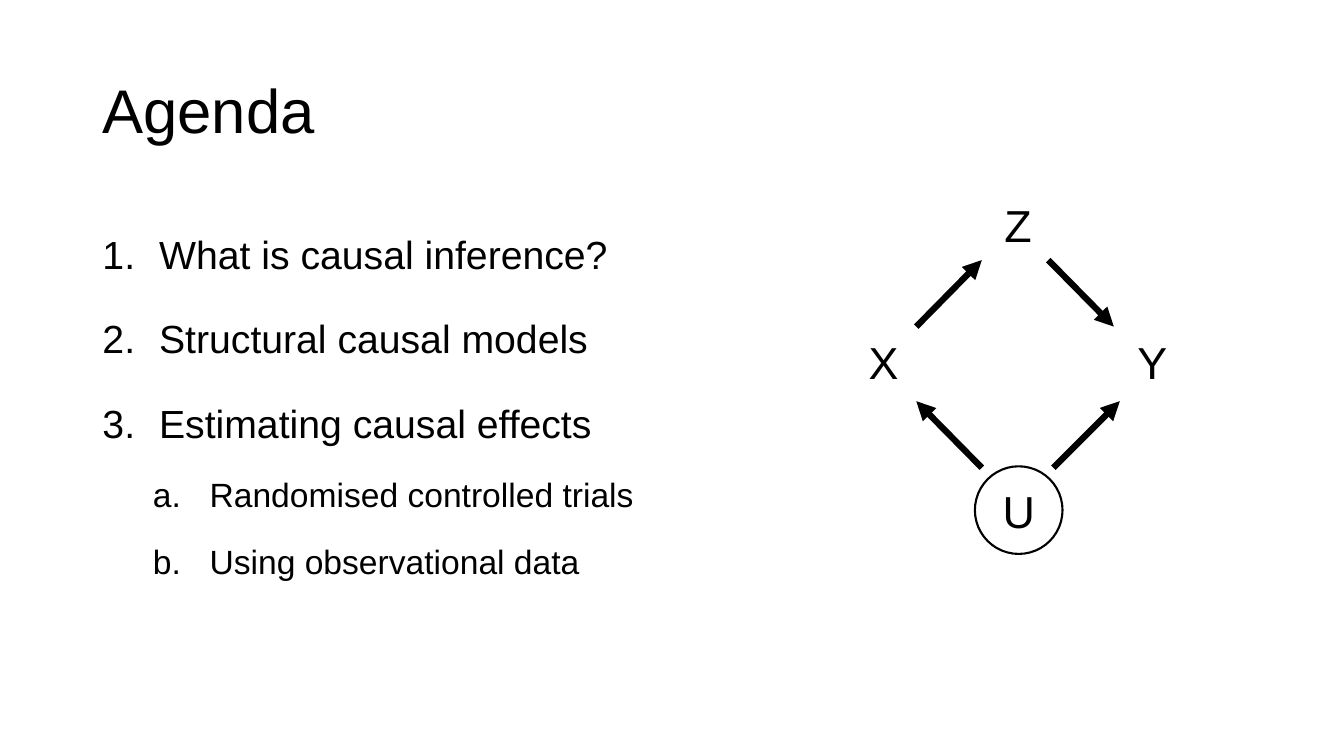
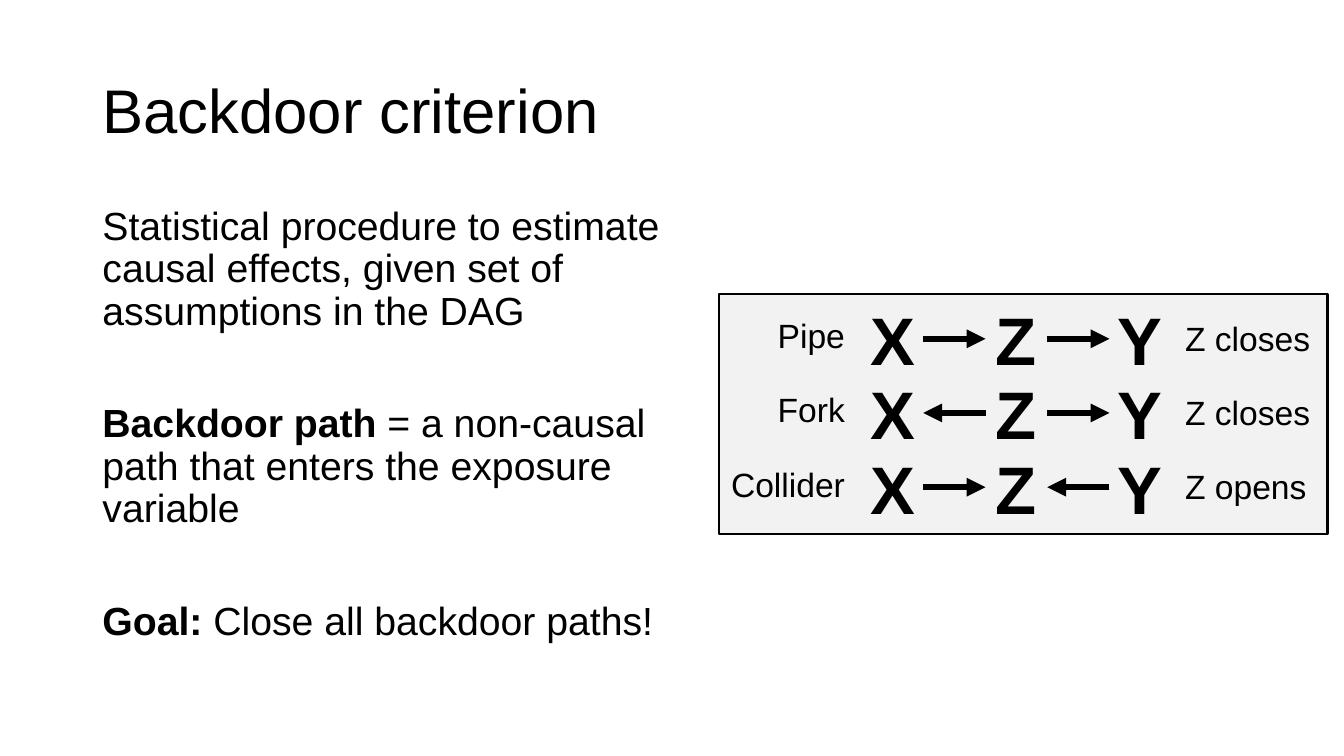
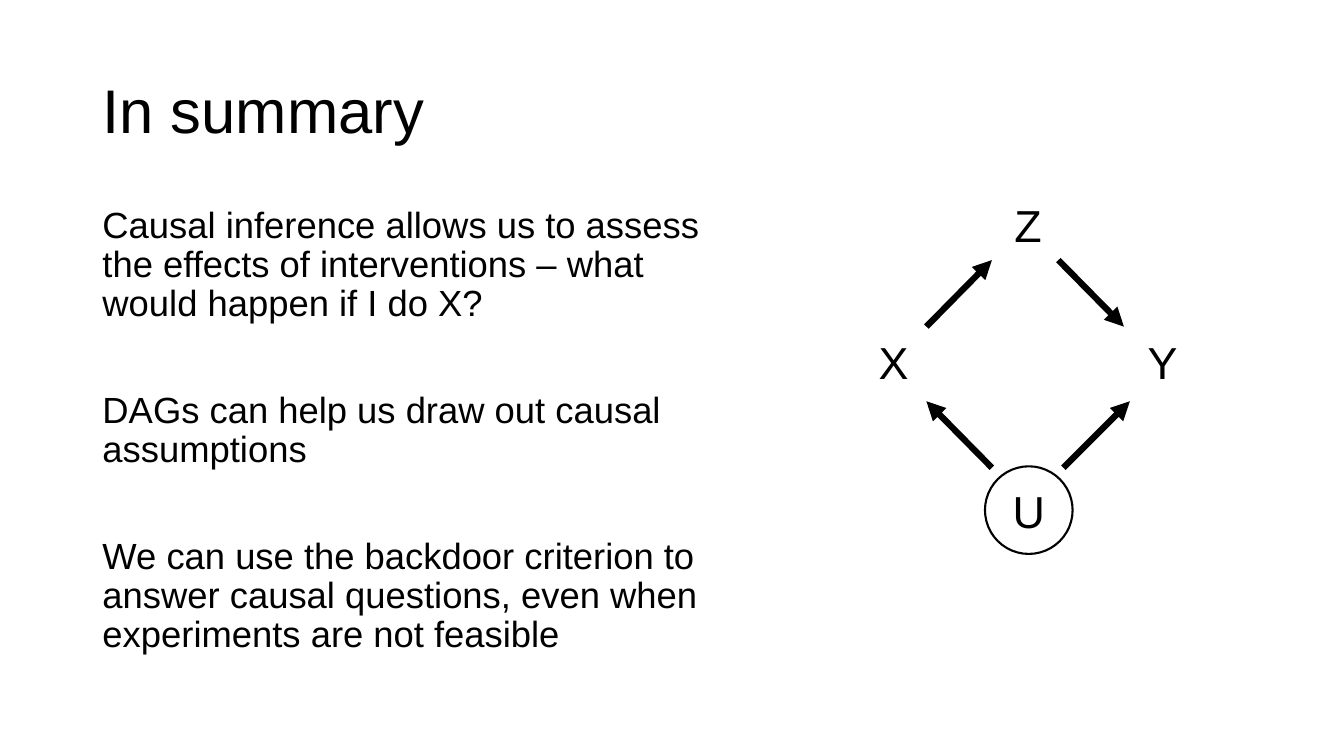
from dataclasses import dataclass

from lxml.etree import SubElement
from pptx import Presentation
from pptx.dml.color import RGBColor
from pptx.enum.shapes import MSO_CONNECTOR, MSO_SHAPE
from pptx.enum.text import MSO_ANCHOR, MSO_AUTO_SIZE, PP_ALIGN
from pptx.oxml.ns import qn
from pptx.util import Pt


# Theme and records
@dataclass(frozen=True)
class Theme:
    font: str = "Arial"
    ink: RGBColor = RGBColor(0, 0, 0)
    panel: RGBColor = RGBColor(0xF2, 0xF2, 0xF2)
    title_size: float = 44
    body_size: float = 28
    summary_size: float = 26
    label_size: float = 24
    node_size: float = 32
    letter_size: float = 48
    outline: float = 1.5
    arrow: float = 4.5


THEME = Theme()


@dataclass(frozen=True)
class Box:
    left: float
    top: float
    width: float
    height: float

    @property
    def lengths(self):
        return Pt(self.left), Pt(self.top), Pt(self.width), Pt(self.height)


@dataclass(frozen=True)
class Item:
    text: str
    lead: str = ""
    level: int = 0
    numbering: str = ""


@dataclass(frozen=True)
class BodyStyle:
    width: float
    size: float
    line_spacing: float = 0.9
    gap: float = 10


@dataclass(frozen=True)
class PathRow:
    label: str
    outcome: str
    forward: tuple[bool, bool]


TITLE_BOX = Box(66, 28.8, 828, 104.4)
BODY_LEFT, BODY_TOP, BODY_HEIGHT = 66, 144, 342.6
NUMBER_INDENT, LEVEL_INDENT = 40.5, 36


# Shared helpers
def format_run(run, size: float, bold: bool = False) -> None:
    run.font.name = THEME.font
    run.font.size = Pt(size)
    run.font.bold = bold
    run.font.color.rgb = THEME.ink


def centred_box(x: float, y: float, width: float, height: float) -> Box:
    return Box(x - width / 2, y - height / 2, width, height)


def write_text(shape, text: str, size: float, align=PP_ALIGN.CENTER, bold: bool = False) -> None:
    frame = shape.text_frame
    frame.margin_left = frame.margin_right = frame.margin_top = frame.margin_bottom = 0
    frame.word_wrap = True
    frame.vertical_anchor = MSO_ANCHOR.MIDDLE
    frame.text = text
    paragraph = frame.paragraphs[0]
    paragraph.alignment = align
    format_run(paragraph.runs[0], size, bold)


def add_label(slide, box: Box, text: str, size: float, align=PP_ALIGN.CENTER, bold: bool = False):
    shape = slide.shapes.add_textbox(*box.lengths)
    write_text(shape, text, size, align, bold)
    return shape


def add_outlined(slide, kind, box: Box, fill=None):
    shape = slide.shapes.add_shape(kind, *box.lengths)
    shape.shadow.inherit = False
    if fill is None:
        shape.fill.background()
    else:
        shape.fill.solid()
        shape.fill.fore_color.rgb = fill
    shape.line.color.rgb = THEME.ink
    shape.line.width = Pt(THEME.outline)
    return shape


def add_arrow(slide, start: tuple[float, float] = (0, 0), end: tuple[float, float] = (0, 0)):
    arrow = slide.shapes.add_connector(
        MSO_CONNECTOR.STRAIGHT, *(Pt(value) for value in (*start, *end)))
    arrow.line.color.rgb = THEME.ink
    arrow.line.width = Pt(THEME.arrow)
    SubElement(arrow.line._get_or_add_ln(), qn("a:tailEnd"), type="triangle")
    SubElement(arrow._element.spPr, qn("a:effectLst"))
    return arrow


def place(shape, box: Box) -> None:
    shape.left, shape.top, shape.width, shape.height = box.lengths


def set_bullet(paragraph, item: Item) -> None:
    properties = paragraph._p.get_or_add_pPr()
    hanging = NUMBER_INDENT if item.numbering else 0
    properties.set("marL", str(Pt(hanging + LEVEL_INDENT * item.level)))
    properties.set("indent", str(Pt(-hanging)))
    if item.numbering:
        SubElement(properties, qn("a:buFont"), typeface=THEME.font)
        SubElement(properties, qn("a:buAutoNum"), type=item.numbering)
    else:
        SubElement(properties, qn("a:buNone"))


def add_text_slide(presentation, title: str, items: list[Item], style: BodyStyle):
    slide = presentation.slides.add_slide(presentation.slide_layouts[1])
    heading = slide.shapes.title
    place(heading, TITLE_BOX)
    heading.text_frame.text = title
    heading.text_frame.vertical_anchor = MSO_ANCHOR.MIDDLE
    heading.text_frame.auto_size = MSO_AUTO_SIZE.NONE
    paragraph = heading.text_frame.paragraphs[0]
    paragraph.alignment = PP_ALIGN.LEFT
    paragraph.line_spacing = 0.9
    format_run(paragraph.runs[0], THEME.title_size)

    body = slide.placeholders[1]
    place(body, Box(BODY_LEFT, BODY_TOP, style.width, BODY_HEIGHT))
    frame = body.text_frame
    frame.auto_size = MSO_AUTO_SIZE.NONE
    for index, item in enumerate(items):
        paragraph = frame.add_paragraph() if index else frame.paragraphs[0]
        paragraph.level = item.level
        paragraph.line_spacing = style.line_spacing
        gap = style.gap / (item.level + 1)
        paragraph.space_before = Pt(gap if index else 0)
        set_bullet(paragraph, item)
        size = THEME.label_size if item.level else style.size
        for text, bold in ((item.lead, True), (item.text, False)):
            if text:
                run = paragraph.add_run()
                run.text = text
                format_run(run, size, bold)
    return slide


# Diagram of X, Z, Y and the unobserved U
def add_causal_diagram(slide, center_x: float) -> None:
    for name, offset, y in (("Z", 0, 160.6), ("X", -96, 258.5), ("Y", 96, 258.5)):
        add_label(slide, centred_box(center_x + offset, y, 36, 46), name, THEME.node_size)
    for start_x, start_y, end_x, end_y in (
        (-72.7, 233.3, -25.9, 185.8),
        (21.6, 185.8, 68.4, 233.3),
        (-25.9, 334.1, -72.7, 286.6),
        (25.2, 334.1, 72.7, 286.6),
    ):
        add_arrow(slide, (center_x + start_x, start_y), (center_x + end_x, end_y))
    unobserved = add_outlined(
        slide, MSO_SHAPE.OVAL, centred_box(center_x + 0.5, 364.4, 62.6, 62.6))
    write_text(unobserved, "U", THEME.node_size)


# Panel of the three path types
def add_path_panel(slide, rows: list[PathRow]) -> None:
    add_outlined(slide, MSO_SHAPE.RECTANGLE, Box(513.4, 210.2, 434.9, 171.4), THEME.panel)
    first_x, column_pitch, first_y, row_pitch = 637.5, 88.5, 242, 53
    for index, row in enumerate(rows):
        y = first_y + index * row_pitch
        letters = [
            add_label(slide, centred_box(first_x + column * column_pitch, y, 44, 65),
                      letter, THEME.letter_size, bold=True)
            for column, letter in enumerate("XZY")
        ]
        for left, right, forward in zip(letters, letters[1:], row.forward):
            arrow = add_arrow(slide)
            ends = [(left, 3), (right, 1)]
            start, end = ends if forward else ends[::-1]
            arrow.begin_connect(*start)
            arrow.end_connect(*end)
        add_label(slide, Box(514, y - 20.5, 89.5, 36), row.label,
                  THEME.label_size, PP_ALIGN.RIGHT)
        add_label(slide, Box(846.5, y - 18.5, 98, 36), row.outcome,
                  THEME.label_size, PP_ALIGN.LEFT)


def spaced_style(width: float, size: float) -> BodyStyle:
    """One text line plus twice the usual gap between paragraphs."""
    return BodyStyle(width, size, gap=round(20 + 1.08 * size, 1))


def main() -> None:
    presentation = Presentation()
    presentation.slide_width, presentation.slide_height = Pt(960), Pt(540)

    # Agenda
    agenda = [
        Item(text, numbering="arabicPeriod")
        for text in ("What is causal inference?", "Structural causal models",
                     "Estimating causal effects")
    ] + [
        Item(text, level=1, numbering="alphaLcPeriod")
        for text in ("Randomised controlled trials", "Using observational data")
    ]
    slide = add_text_slide(presentation, "Agenda", agenda,
                           BodyStyle(828, THEME.body_size, line_spacing=1.5))
    add_causal_diagram(slide, 727.2)

    # Backdoor criterion
    slide = add_text_slide(presentation, "Backdoor criterion", [
        Item("Statistical procedure to estimate causal effects, "
             "given set of assumptions in the DAG"),
        Item("= a non-causal path that enters the exposure variable", lead="Backdoor path "),
        Item("Close all backdoor paths!", lead="Goal: "),
    ], spaced_style(435, THEME.body_size))
    add_path_panel(slide, [
        PathRow("Pipe", "Z closes", (True, True)),
        PathRow("Fork", "Z closes", (False, True)),
        PathRow("Collider", "Z opens", (True, False)),
    ])

    # Summary
    slide = add_text_slide(presentation, "In summary", [
        Item("Causal inference allows us to assess the effects of interventions – "
             "what would happen if I do X?"),
        Item("DAGs can help us draw out causal assumptions"),
        Item("We can use the backdoor criterion to answer causal questions, "
             "even when experiments are not feasible"),
    ], spaced_style(466, THEME.summary_size))
    add_causal_diagram(slide, 734.4)

    presentation.save("out.pptx")


if __name__ == "__main__":
    main()
